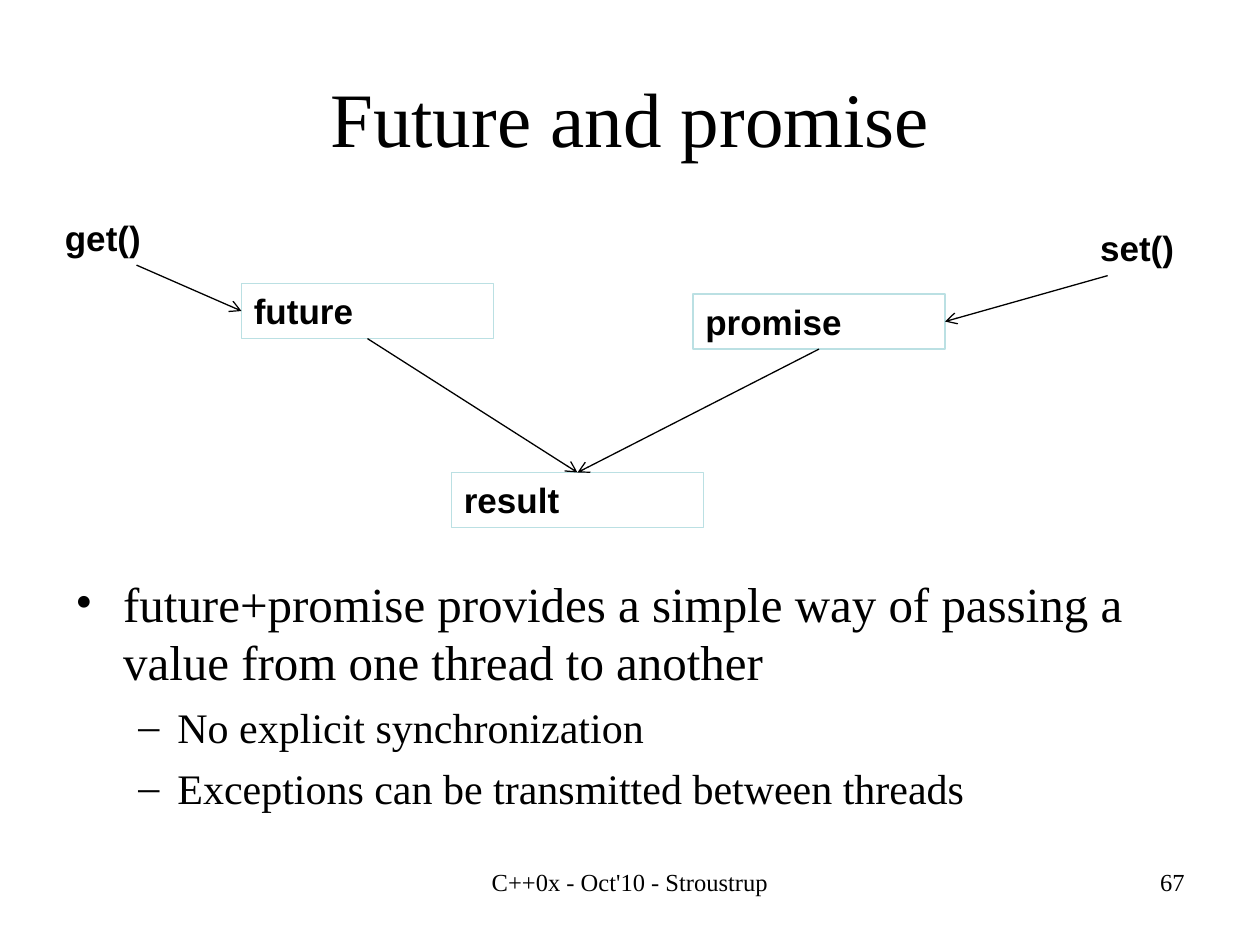
from pptx import Presentation
from pptx.dml.color import RGBColor
from pptx.enum.shapes import MSO_CONNECTOR, MSO_SHAPE
from pptx.enum.text import MSO_ANCHOR, PP_ALIGN
from pptx.oxml.ns import qn
from pptx.util import Inches, Pt
from lxml.etree import SubElement

BLACK = RGBColor(0x00, 0x00, 0x00)
PALE_TEAL = RGBColor(0xBB, 0xE0, 0xE3)
SERIF = "Times New Roman"
SANS = "Arial"
CELLS_PER_INCH = 12
BOX_WIDTH, BOX_HEIGHT = 24, 5.25
TOP, LEFT, BOTTOM, RIGHT = range(4)


def grid(*cells):
    return [Inches(cell / CELLS_PER_INCH) for cell in cells]


def style_paragraph(paragraph, size, font_name=SERIF, bold=False, align=PP_ALIGN.LEFT):
    paragraph.alignment = align
    for run in paragraph.runs:
        run.font.size = Pt(size)
        run.font.name = font_name
        run.font.bold = bold
        run.font.color.rgb = BLACK


def add_text(slide, area, text, size, anchor=MSO_ANCHOR.TOP, **style):
    text_frame = slide.shapes.add_textbox(*grid(*area)).text_frame
    text_frame.word_wrap = True
    text_frame.vertical_anchor = anchor
    text_frame.text = text
    style_paragraph(text_frame.paragraphs[0], size, **style)
    return text_frame


def add_bullet(paragraph, symbol, margin, hanging):
    properties = paragraph._p.get_or_add_pPr()
    properties.set("marL", str(Inches(margin)))
    properties.set("indent", str(-Inches(hanging)))
    SubElement(properties, qn("a:buFont"), typeface=SERIF)
    SubElement(properties, qn("a:buChar"), char=symbol)


def add_bullet_list(slide, area, heading, details):
    text_frame = add_text(slide, area, heading, 28)
    add_bullet(text_frame.paragraphs[0], "•", 0.38, 0.38)
    for detail in details:
        paragraph = text_frame.add_paragraph()
        paragraph.text = detail
        paragraph.level = 1
        add_bullet(paragraph, "–", 0.81, 0.31)
        paragraph.space_before = Pt(6)
        style_paragraph(paragraph, 24)


def add_box(slide, column, row, label):
    box = slide.shapes.add_shape(
        MSO_SHAPE.RECTANGLE, *grid(column, row, BOX_WIDTH, BOX_HEIGHT))
    box.shadow.inherit = False
    box.fill.background()
    box.line.color.rgb = PALE_TEAL
    box.line.width = Pt(0.75)
    box.text_frame.text = label
    box.text_frame.vertical_anchor = MSO_ANCHOR.TOP
    style_paragraph(box.text_frame.paragraphs[0], 20, SANS, bold=True)
    return box


def add_arrow(slide, target, target_side, source=None, start=(0, 0)):
    arrow = slide.shapes.add_connector(
        MSO_CONNECTOR.STRAIGHT, *grid(*start), target.left, target.top)
    if source is not None:
        arrow.begin_connect(source, BOTTOM)
    arrow.end_connect(target, target_side)
    arrow.line.color.rgb = BLACK
    arrow.line.width = Pt(0.75)
    SubElement(arrow.line._get_or_add_ln(), qn("a:tailEnd"), type="arrow")
    SubElement(arrow._element.spPr, qn("a:effectLst"))


def add_diagram(slide):
    future = add_box(slide, 23, 27, "future")
    promise = add_box(slide, 66, 28, "promise")
    result = add_box(slide, 43, 45, "result")
    for source in (future, promise):
        add_arrow(slide, result, TOP, source=source)
    call_style = {"font_name": SANS, "bold": True}
    add_text(slide, (5, 20, 16, BOX_HEIGHT), "get()", 20, **call_style)
    add_arrow(slide, future, LEFT, start=(13, 25.25))
    add_text(slide, (98, 21, 15, BOX_HEIGHT), "set()", 20,
             align=PP_ALIGN.RIGHT, **call_style)
    add_arrow(slide, promise, RIGHT, start=(105.5, 26.25))


def main():
    presentation = Presentation()
    presentation.slide_width, presentation.slide_height = grid(120, 90)
    slide = presentation.slides.add_slide(presentation.slide_layouts[6])
    add_text(slide, (6, 3.6, 108, 15), "Future and promise", 44,
             anchor=MSO_ANCHOR.MIDDLE, align=PP_ALIGN.CENTER)
    add_bullet_list(
        slide, (6, 54, 108, 26.4),
        "future+promise provides a simple way of passing a value from one thread to another",
        ["No explicit synchronization", "Exceptions can be transmitted between threads"])
    add_text(slide, (41, 82, 38, 6.25), "C++0x - Oct'10 - Stroustrup", 14,
             align=PP_ALIGN.CENTER)
    add_text(slide, (86, 82, 28, 6.25), "67", 14, align=PP_ALIGN.RIGHT)
    add_diagram(slide)
    presentation.save("out.pptx")


if __name__ == "__main__":
    main()
